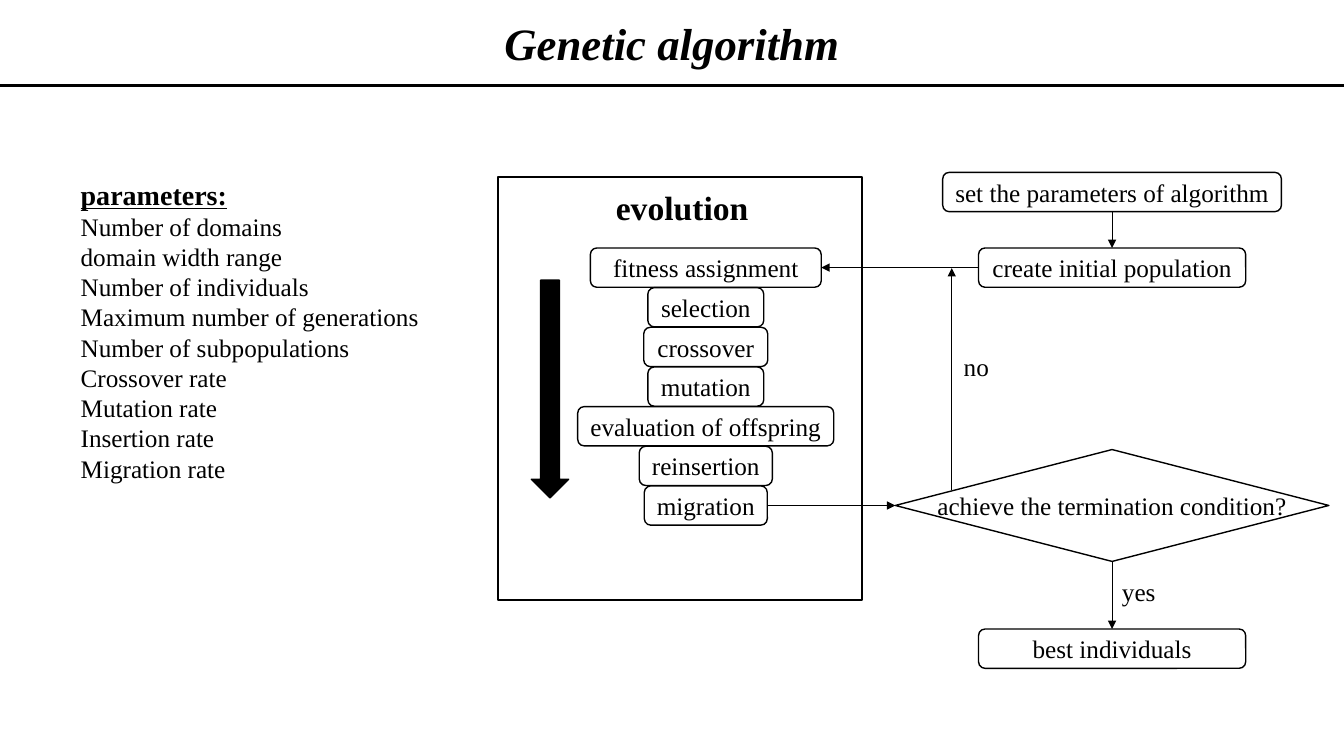
from dataclasses import dataclass

from lxml import etree
from pptx import Presentation
from pptx import util as u
from pptx.dml.color import RGBColor
from pptx.enum import shapes, text
from pptx.oxml.ns import qn

FONT = "Times New Roman"
BLACK, WHITE = "000000", "FFFFFF"
KIND = shapes.MSO_SHAPE
ALIGN = text.PP_ALIGN
BOX_H = 0.39


@dataclass
class Box:
    label: str
    mid: float
    top: float
    width: float
    height: float = BOX_H
    kind: int = KIND.ROUNDED_RECTANGLE
    fill: str = WHITE
    weight: float = 1


@dataclass
class Note:
    label: str
    left: float
    top: float
    width: float
    height: float = 0.4
    size: float = 18
    bold: bool = False


def paint(target, color: str) -> None:
    """Apply a hex colour to a font, fill or line."""
    if hasattr(target, "solid"):
        target.solid()
        target.fore_color.rgb = RGBColor.from_string(color)
    else:
        target.color.rgb = RGBColor.from_string(color)


def style(para, size: float, align=ALIGN.LEFT, bold=False, italic=False, under=False) -> None:
    para.alignment = align
    para.space_before = u.Pt(0)
    font = para.font
    font.name, font.size = FONT, u.Pt(size)
    font.bold, font.italic, font.underline = bold, italic, under
    paint(font, BLACK)


def place(shape, left: float, top: float, width: float, height: float) -> None:
    shape.left, shape.top = u.Inches(left), u.Inches(top)
    shape.width, shape.height = u.Inches(width), u.Inches(height)


def draw_box(slide, box: Box):
    shape = slide.shapes.add_shape(
        box.kind, u.Inches(box.mid - box.width / 2), u.Inches(box.top),
        u.Inches(box.width), u.Inches(box.height))
    shape.shadow.inherit = False
    if box.fill:
        paint(shape.fill, box.fill)
    else:
        shape.fill.background()
    paint(shape.line, BLACK)
    shape.line.width = u.Pt(box.weight)
    if box.label:
        frame = shape.text_frame
        frame.text = box.label
        frame.word_wrap = False
        frame.vertical_anchor = text.MSO_ANCHOR.MIDDLE
        style(frame.paragraphs[0], 18, ALIGN.CENTER)
    return shape


def draw_note(slide, note: Note) -> None:
    shape = slide.shapes.add_textbox(*map(u.Inches, (note.left, note.top, note.width, note.height)))
    frame = shape.text_frame
    frame.text = note.label
    frame.word_wrap = False
    style(frame.paragraphs[0], note.size, bold=note.bold)


def draw_line(slide, x1: float, y1: float, x2: float, y2: float, weight=0.5, arrow=True):
    line = slide.shapes.add_connector(
        shapes.MSO_CONNECTOR.STRAIGHT, *map(u.Inches, (x1, y1, x2, y2)))
    paint(line.line, BLACK)
    line.line.width = u.Pt(weight)
    props = line._element.spPr
    if arrow:
        etree.SubElement(props.find(qn("a:ln")), qn("a:tailEnd"), type="triangle")
    etree.SubElement(props, qn("a:effectLst"))
    return line


def join(slide, start, exit_at: int, end, entry: int) -> None:
    line = draw_line(slide, 0, 0, 1, 1)
    line.begin_connect(start, exit_at)
    line.end_connect(end, entry)


def fill_list(body, head: str, items: list[str]) -> None:
    frame = body.text_frame
    frame.text = "\n".join([head, *items])
    frame.word_wrap = False
    frame.auto_size = text.MSO_AUTO_SIZE.NONE
    for i, para in enumerate(frame.paragraphs):
        props = para._p.get_or_add_pPr()
        props.set("marL", "0")
        props.set("indent", "0")
        etree.SubElement(props, qn("a:buNone"))
        first = i == 0
        style(para, 20 if first else 18, bold=first, under=first)


PARAMS = ["Number of domains", "domain width range", "Number of individuals",
          "Maximum number of generations", "Number of subpopulations",
          "Crossover rate", "Mutation rate", "Insertion rate", "Migration rate"]
STEPS = {"fitness assignment": 2.29, "selection": 1.15, "crossover": 1.23,
         "mutation": 1.15, "evaluation of offspring": 2.54,
         "reinsertion": 1.32, "migration": 1.22}
STEP_MID, FLOW_MID = 7.0, 11.03
STEP_TOP, STEP_END = 2.46, 4.82
NOTES = [Note("yes", 11.03, 5.67, 0.54), Note("no", 9.46, 3.44, 0.45),
         Note("evolution", 6.01, 1.81, 1.53, 0.5, 24, True)]


def main() -> None:
    deck = Presentation()
    deck.slide_width, deck.slide_height = u.Inches(13.33), u.Inches(7.5)
    slide = deck.slides.add_slide(deck.slide_layouts[1])

    # Title and rule
    title, body = slide.placeholders
    place(title, 0, 0.1, 13.33, 0.64)
    title.text_frame.text = "Genetic algorithm"
    title.text_frame.vertical_anchor = text.MSO_ANCHOR.MIDDLE
    style(title.text_frame.paragraphs[0], 32, ALIGN.CENTER, bold=True, italic=True)
    draw_line(slide, 0, 0.85, 13.33, 0.85, weight=2, arrow=False)

    # Parameter list
    place(body, 0.7, 1.71, 3.59, 3.16)
    fill_list(body, "parameters:", PARAMS)

    # Evolution frame, its arrow and steps
    draw_box(slide, Box("", 6.745, 1.76, 3.61, 4.19, KIND.RECTANGLE, "", 1.5))
    draw_box(slide, Box("", 5.455, 2.78, 0.37, 2.16, KIND.DOWN_ARROW, BLACK))
    pitch = (STEP_END - STEP_TOP) / (len(STEPS) - 1)
    steps = [draw_box(slide, Box(name, STEP_MID, STEP_TOP + i * pitch, width))
             for i, (name, width) in enumerate(STEPS.items())]

    # Main flow
    setup, create, test, best = [draw_box(slide, box) for box in (
        Box("set the parameters of algorithm", FLOW_MID, 1.71, 3.36),
        Box("create initial population", FLOW_MID, STEP_TOP, 2.65),
        Box("achieve the termination condition?", FLOW_MID, 4.46, 4.3, 1.11,
            KIND.FLOWCHART_DECISION),
        Box("best individuals", FLOW_MID, 6.24, 2.65))]

    # Arrows and labels
    for link in ((setup, 2, create, 0), (create, 1, steps[0], 3),
                 (steps[-1], 3, test, 1), (test, 2, best, 0)):
        join(slide, *link)
    draw_line(slide, 9.44, 4.86, 9.44, 2.66)
    for note in NOTES:
        draw_note(slide, note)

    deck.save("out.pptx")


if __name__ == "__main__":
    main()
